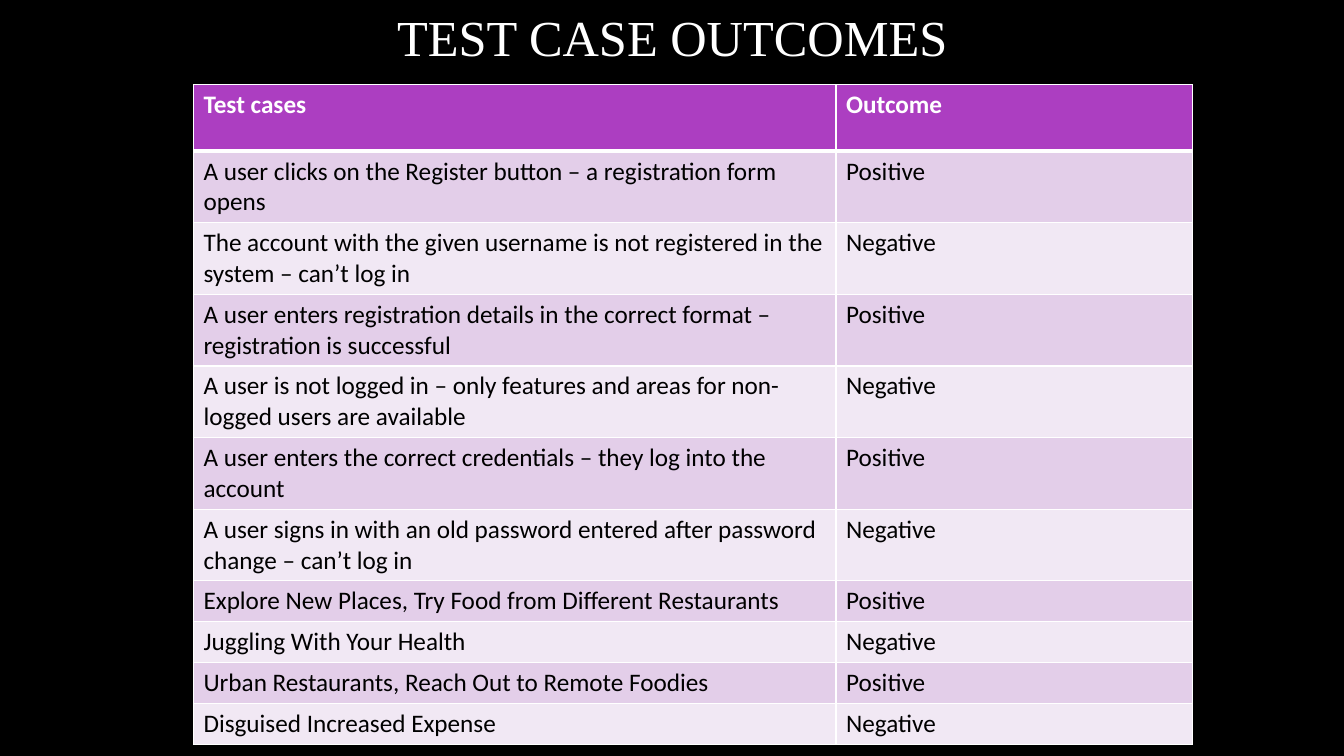
"""Build the slide of test case outcomes."""
import lxml.etree
import pptx
import pptx.dml.color
import pptx.enum.text
import pptx.oxml.ns
import pptx.util

Pt = pptx.util.Pt

COLORS = {
    "background": "000000",
    "title": "FFFFFF",
    "border": "FFFFFF",
    "header": "AC3EC1",
    "header_text": "FFFFFF",
    "odd_row": "E3CEE9",
    "even_row": "F1E8F4",
    "body_text": "000000",
}
HEADINGS = ("Test cases", "Outcome")
TEST_CASES = [
    "A user clicks on the Register button – a registration form opens",
    "The account with the given username is not registered in the system – can’t log in",
    "A user enters registration details in the correct format – registration is successful",
    "A user is not logged in – only features and areas for non-logged users are available",
    "A user enters the correct credentials – they log into the account",
    "A user signs in with an old password entered after password change – can’t log in",
    "Explore New Places, Try Food from Different Restaurants",
    "Juggling With Your Health",
    "Urban Restaurants, Reach Out to Remote Foodies",
    "Disguised Increased Expense",
]
OUTCOMES = ("Positive", "Negative")
COLUMN_WIDTHS = (459, 254.6)
ROW_HEIGHTS = [47.4] + [46.6] * 6 + [26.6] * 4


def color(name):
    return pptx.dml.color.RGBColor.from_string(COLORS[name])


def format_font(paragraph, typeface, size, color_name, bold=False):
    for run in paragraph.runs:
        run.font.name = typeface
        run.font.size = Pt(size)
        run.font.bold = bold
        run.font.color.rgb = color(color_name)


def add_title(slide, text):
    title = slide.shapes.title
    title.left, title.top = Pt(81.4), Pt(-31)
    title.width, title.height = Pt(797.8), Pt(114.5)
    frame = title.text_frame
    frame.text = text
    frame.vertical_anchor = pptx.enum.text.MSO_ANCHOR.MIDDLE
    paragraph = frame.paragraphs[0]
    paragraph.alignment = pptx.enum.text.PP_ALIGN.CENTER
    format_font(paragraph, "Times New Roman", 36, "title")


def set_borders(cell, widths):
    properties = cell._tc.get_or_add_tcPr()
    for index, (side, width) in enumerate(widths.items()):
        line = lxml.etree.Element(pptx.oxml.ns.qn(f"a:ln{side}"), w=str(Pt(width)))
        fill = lxml.etree.SubElement(line, pptx.oxml.ns.qn("a:solidFill"))
        lxml.etree.SubElement(fill, pptx.oxml.ns.qn("a:srgbClr"), val=COLORS["border"])
        properties.insert(index, line)


def fill_cell(cell, text, row):
    is_header = row == 0
    cell.text_frame.text = text
    format_font(cell.text_frame.paragraphs[0], "Calibri", 18,
                "header_text" if is_header else "body_text", is_header)
    cell.fill.solid()
    band = "odd_row" if row % 2 else "even_row"
    cell.fill.fore_color.rgb = color("header" if is_header else band)
    set_borders(cell, {"L": 1, "R": 1, "T": 3 if row == 1 else 1, "B": 3 if is_header else 1})


def add_outcome_table(slide):
    rows = [HEADINGS] + [(case, OUTCOMES[i % 2]) for i, case in enumerate(TEST_CASES)]
    table = slide.shapes.add_table(
        len(rows), len(HEADINGS), Pt(138.2), Pt(60.5),
        Pt(sum(COLUMN_WIDTHS)), Pt(sum(ROW_HEIGHTS))).table
    for column, width in zip(table.columns, COLUMN_WIDTHS):
        column.width = Pt(width)
    for row, (height, texts) in enumerate(zip(ROW_HEIGHTS, rows)):
        table.rows[row].height = Pt(height)
        for column, text in enumerate(texts):
            fill_cell(table.cell(row, column), text, row)


def main():
    presentation = pptx.Presentation()
    presentation.slide_width, presentation.slide_height = Pt(960), Pt(540)
    slide = presentation.slides.add_slide(presentation.slide_layouts[5])
    slide.background.fill.solid()
    slide.background.fill.fore_color.rgb = color("background")
    add_title(slide, "TEST CASE OUTCOMES")
    add_outcome_table(slide)
    presentation.save("out.pptx")


if __name__ == "__main__":
    main()
